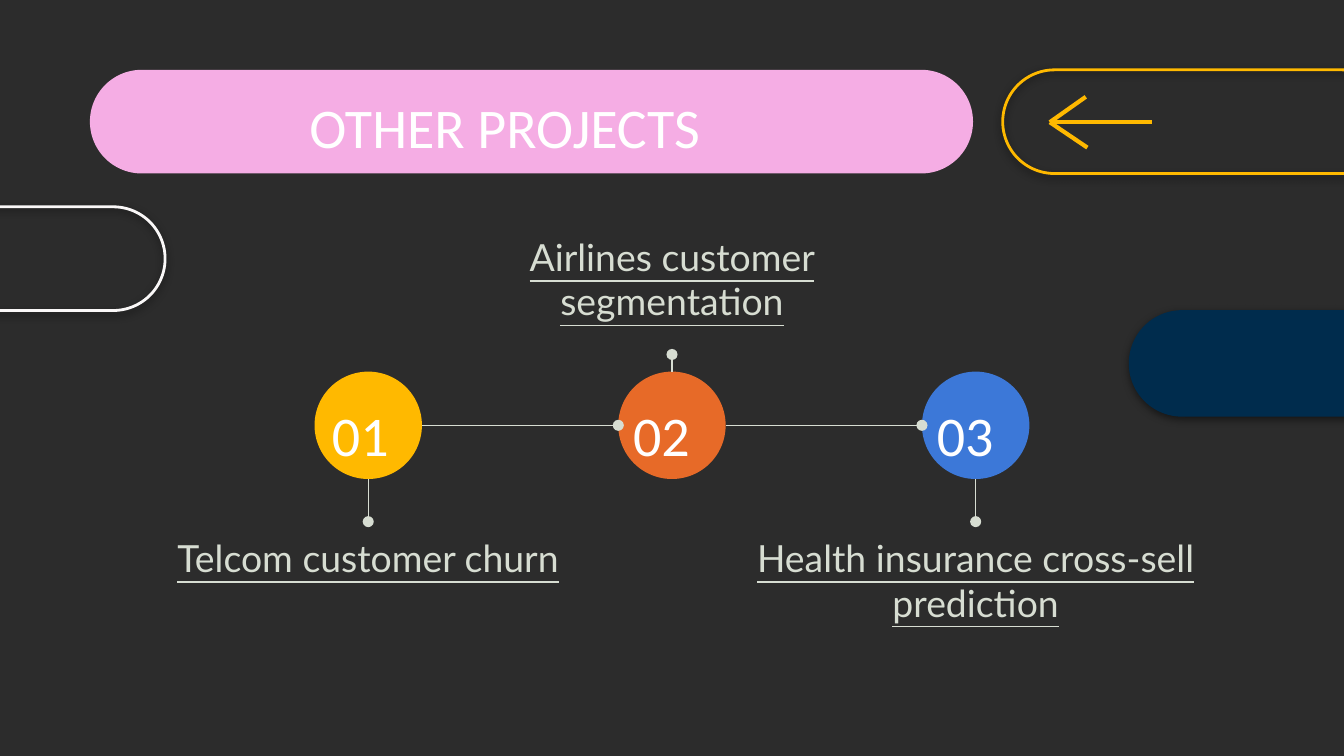
from lxml.etree import SubElement
from pptx import Presentation
from pptx.dml.color import RGBColor
from pptx.enum.shapes import MSO_CONNECTOR as Connector, MSO_SHAPE as Shape
from pptx.enum.text import MSO_ANCHOR as Anchor, MSO_AUTO_SIZE as AutoSize, PP_ALIGN as Align
from pptx.oxml.ns import qn
from pptx.util import Cm, Pt

COLORS = {
    "background": "2C2C2C", "pink": "F5ADE4", "yellow": "FFB900", "orange": "E76A28",
    "blue": "3C78D8", "navy": "002C4D", "gray": "D7DDD2", "white": "FFFFFF",
    "off_white": "FAF8F8", "black": "000000",
}
TITLE = "OTHER PROJECTS"
# number, project, circle colour, number inset from the circle's left edge, label above?
PROJECTS = [
    ("01", "Telcom customer churn", "yellow", 0.08, False),
    ("02", "Airlines customer segmentation", "orange", 0.03, True),
    ("03", "Health insurance cross-sell prediction", "blue", 0.03, False),
]
# left, top, width, fill, outline, rotation
SIDE_PILLS = {
    "left": (-4.27, 3.91, 7.39, None, "off_white", 0),
    "arrow": (18.95, 1.32, 7.39, None, "yellow", 180),
    "right": (21.36, 5.89, 8.97, "navy", "navy", 0),
}
ARROW_TIP = (19.84, 2.31)
ARROW_ENDS = [(21.77, 2.31), (20.55, 2.79), (20.52, 1.83)]

SLIDE_WIDTH, SLIDE_HEIGHT = 25.4, 14.29
PILL_HEIGHT = 1.96
DIAMETER, PITCH, CENTER_Y = 2.03, 5.74, 8.04
RADIUS = DIAMETER / 2
LABEL_WIDTH, LABEL_HEIGHT = 9.45, 1.47
LABEL_TOP = {True: 4.17, False: 9.86}
STEM_END = {True: 6.7, False: 9.86}


def rgb(name):
    return RGBColor.from_string(COLORS[name])


def place(shape, left, top, width, height):
    shape.left, shape.top, shape.width, shape.height = map(Cm, (left, top, width, height))


def add_shape(shapes, kind, box, fill=None, outline=None):
    shape = shapes.add_shape(kind, *map(Cm, box))
    shape.shadow.inherit = False
    if kind == Shape.ROUNDED_RECTANGLE:
        shape.adjustments[0] = 0.5
    if fill:
        shape.fill.solid()
        shape.fill.fore_color.rgb = rgb(fill)
    else:
        shape.fill.background()
    if outline:
        shape.line.color.rgb = rgb(outline)
        shape.line.width = Pt(1.5)
    else:
        shape.line.fill.background()
    return shape


def add_side_pill(shapes, left, top, width, fill, outline, rotation):
    pill = add_shape(shapes, Shape.ROUNDED_RECTANGLE, (left, top, width, PILL_HEIGHT), fill, outline)
    pill.rotation = rotation
    effects = pill._element.spPr.find(qn("a:effectLst"))
    shadow = SubElement(effects, qn("a:outerShdw"), blurRad=str(Pt(4.5)), dist=str(Pt(1.5)),
                        dir="5400000", algn="bl", rotWithShape="0")
    color = SubElement(shadow, qn("a:srgbClr"), val=COLORS["black"])
    SubElement(color, qn("a:alpha"), val="50000")


def add_line(shapes, start, end, color, width, dot=False):
    line = shapes.add_connector(Connector.STRAIGHT, *map(Cm, start + end))
    line.line.color.rgb = rgb(color)
    line.line.width = Pt(width)
    if dot:
        SubElement(line.line._get_or_add_ln(), qn("a:tailEnd"), type="oval")
    SubElement(line._element.spPr, qn("a:effectLst"))


def write(shape, text, font, size, color, align, spacing=1.0, underline=False):
    frame = shape.text_frame
    frame.word_wrap = True
    frame.auto_size = AutoSize.NONE
    frame.vertical_anchor = Anchor.TOP
    frame.margin_left = frame.margin_right = frame.margin_top = frame.margin_bottom = Cm(0.25)
    paragraph = frame.paragraphs[0]
    paragraph.alignment = align
    paragraph.line_spacing = spacing
    paragraph.space_before = Pt(0)
    properties = paragraph._p.get_or_add_pPr()
    properties.set("marL", "0")
    properties.set("indent", "0")
    SubElement(properties, qn("a:buNone"))
    run = paragraph.add_run()
    run.text = text
    run.font.name = font
    run.font.size = Pt(size)
    run.font.bold = False
    run.font.underline = underline
    run.font.color.rgb = rgb(color)


def main():
    presentation = Presentation()
    presentation.slide_width, presentation.slide_height = Cm(SLIDE_WIDTH), Cm(SLIDE_HEIGHT)
    slide = presentation.slides.add_slide(presentation.slide_layouts.get_by_name("Comparison"))
    slide.background.fill.solid()
    slide.background.fill.fore_color.rgb = rgb("background")
    shapes = slide.shapes
    title, *labels = slide.placeholders
    for spare in labels[len(PROJECTS):]:
        spare._element.getparent().remove(spare._element)

    banner = add_shape(shapes, Shape.ROUNDED_RECTANGLE, (1.7, 1.32, 16.69, PILL_HEIGHT), "pink")
    title._element.addprevious(banner._element)
    place(title, 2.01, 1.42, 15.06, 1.6)
    write(title, TITLE, "Calibri", 30, "white", Align.CENTER, spacing=1.07)

    for index, (number, project, color, inset, above) in enumerate(PROJECTS):
        center_x = SLIDE_WIDTH / 2 + (index - 1) * PITCH
        left, top = center_x - RADIUS, CENTER_Y - RADIUS
        add_shape(shapes, Shape.OVAL, (left, top, DIAMETER, DIAMETER), color)

        edge = top if above else top + DIAMETER
        add_line(shapes, (center_x, edge), (center_x, STEM_END[above]), "gray", 0.75, dot=True)
        if index:
            add_line(shapes, (left - PITCH + DIAMETER, CENTER_Y), (left, CENTER_Y),
                     "gray", 0.75, dot=True)

        place(labels[index], center_x - LABEL_WIDTH / 2, LABEL_TOP[above], LABEL_WIDTH, LABEL_HEIGHT)
        write(labels[index], project, "Lato", 20, "gray", Align.CENTER, underline=True)

        number_box = shapes.add_textbox(*map(Cm, (left + inset, 7.24, 1.96, 1.57)))
        write(number_box, number, "Calibri", 30, "white", Align.LEFT, spacing=1.07)

    add_side_pill(shapes, *SIDE_PILLS["left"])
    arrow_group = shapes.add_group_shape()
    add_side_pill(arrow_group.shapes, *SIDE_PILLS["arrow"])
    for end in ARROW_ENDS:
        add_line(arrow_group.shapes, ARROW_TIP, end, "yellow", 2.25)
    add_side_pill(shapes, *SIDE_PILLS["right"])

    presentation.save("out.pptx")


if __name__ == "__main__":
    main()
